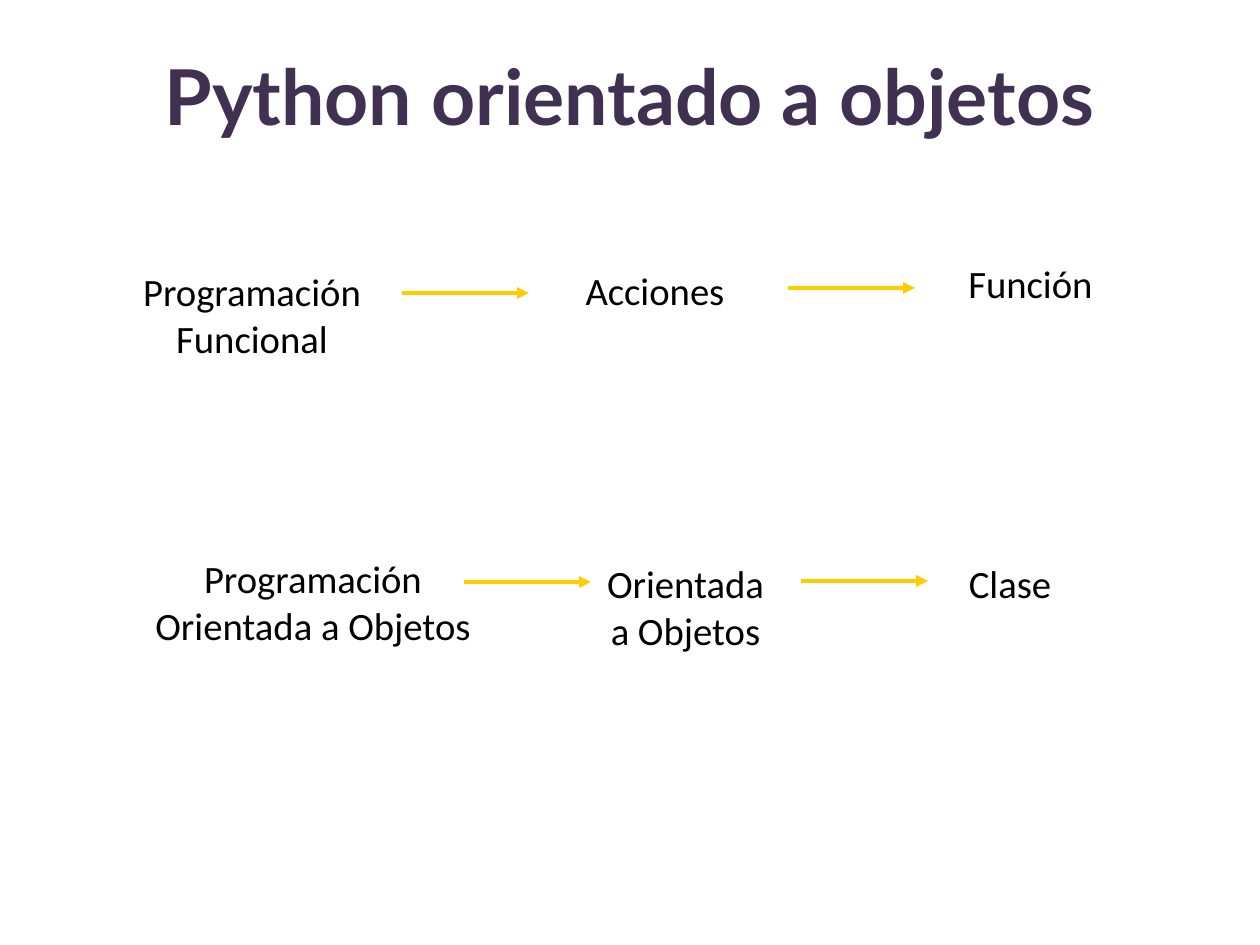
"""Build a slide contrasting functional and object-oriented programming."""
from dataclasses import dataclass

import pptx
import pptx.dml.color
import pptx.enum.shapes
import pptx.enum.text
import pptx.oxml
import pptx.oxml.ns
import pptx.util
from pptx.slide import Slide

SCALE = 914400 // 126
COLOURS = {"title": "403152", "label": "000000", "arrow": "FFCC00"}
TITLE_FONT = {"name": "Lato", "size": pptx.util.Pt(44), "bold": True}
LABEL_FONT = {"name": "Calibri", "size": pptx.util.Pt(22.1)}
ARROW_LENGTH = 127


@dataclass(frozen=True)
class Label:
    """Text lines with their box in pixels."""
    lines: tuple[str, ...]
    left: int
    top: int
    width: int
    height: int = 59
    wrap: bool = False


@dataclass(frozen=True)
class Arrow:
    """Start of a horizontal arrow in pixels."""
    left: int
    top: int


TITLE = Label(("Python orientado a objetos",), 63, 16, 1134, 158, True)
LABELS = (
    Label(("Programación", "Funcional"), 129, 262, 246, 107),
    Label(("Acciones",), 572, 261, 166),
    Label(("Función",), 955, 254, 151),
    Label(("Programación", "Orientada a Objetos"), 141, 549, 344, 107),
    Label(("Orientada a Objetos",), 591, 554, 189, 107, True),
    Label(("Clase",), 956, 554, 108),
)
ARROWS = (Arrow(402, 293), Arrow(788, 288), Arrow(464, 582), Arrow(801, 581))


def px(length: int) -> int:
    """Turn pixels into EMU."""
    return length * SCALE


def colour(name: str) -> pptx.dml.color.RGBColor:
    """Look up a named colour."""
    return pptx.dml.color.RGBColor.from_string(COLOURS[name])


def set_values(target: object, values: dict) -> None:
    """Set each attribute of the target from the values."""
    for name, value in values.items():
        setattr(target, name, value)


def draw_label(page: Slide, label: Label, font: dict, shade: str, frame_format: dict) -> None:
    """Draw centred lines of text in a box."""
    box = page.shapes.add_textbox(*map(px, (label.left, label.top, label.width, label.height)))
    frame = box.text_frame
    set_values(frame, {"text": "\n".join(label.lines), "word_wrap": label.wrap, **frame_format})
    for para in frame.paragraphs:
        para.alignment = pptx.enum.text.PP_ALIGN.CENTER
        for span in para.runs:
            set_values(span.font, font)
            span.font.color.rgb = colour(shade)


def draw_arrow(page: Slide, arrow: Arrow) -> None:
    """Draw a horizontal arrow pointing right."""
    connector = page.shapes.add_connector(
        pptx.enum.shapes.MSO_CONNECTOR.STRAIGHT,
        *map(px, (arrow.left, arrow.top, arrow.left + ARROW_LENGTH, arrow.top)),
    )
    connector.line.color.rgb = colour("arrow")
    connector.line.width = pptx.util.Pt(2.25)
    head = pptx.oxml.parse_xml(f'<a:tailEnd {pptx.oxml.ns.nsdecls("a")} type="triangle"/>')
    connector.line._get_or_add_ln().append(head)
    effects = pptx.oxml.parse_xml(f'<a:effectLst {pptx.oxml.ns.nsdecls("a")}/>')
    connector._element.spPr.append(effects)


def build() -> None:
    """Build and save the deck."""
    deck = pptx.Presentation()
    set_values(deck, {"slide_width": px(1260), "slide_height": px(945)})
    page = deck.slides.add_slide(deck.slide_layouts[6])
    label_frame = {"auto_size": pptx.enum.text.MSO_AUTO_SIZE.SHAPE_TO_FIT_TEXT}
    for label in LABELS:
        draw_label(page, label, LABEL_FONT, "label", label_frame)
    for arrow in ARROWS:
        draw_arrow(page, arrow)
    title_frame = {"vertical_anchor": pptx.enum.text.MSO_ANCHOR.MIDDLE}
    draw_label(page, TITLE, TITLE_FONT, "title", title_frame)
    deck.save("out.pptx")


build()
